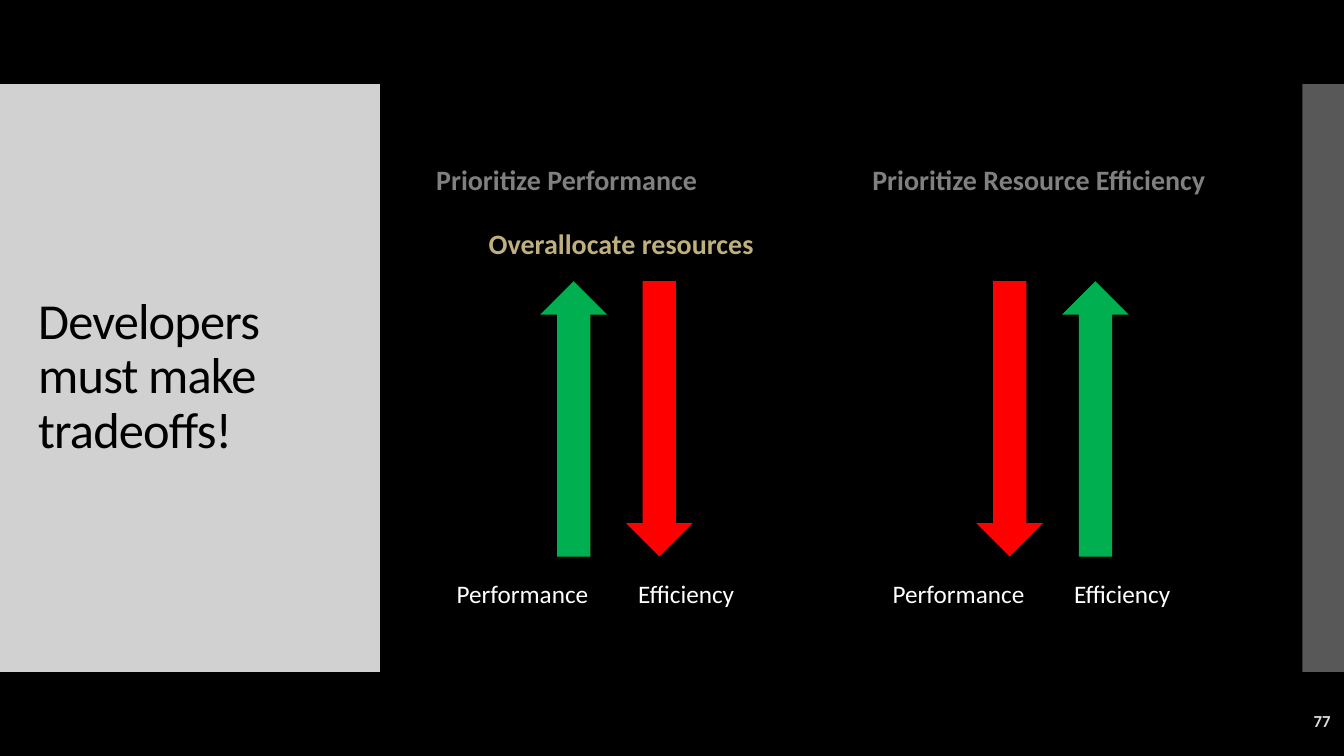
from dataclasses import dataclass

from lxml.etree import SubElement
from pptx import Presentation
from pptx.dml.color import RGBColor
from pptx.enum.shapes import MSO_SHAPE
from pptx.enum.text import MSO_ANCHOR, PP_ALIGN
from pptx.oxml.ns import qn
from pptx.util import Pt


@dataclass(frozen=True)
class Theme:
    font: str = "Calibri"
    background: str = "000000"
    panel: str = "DDDDDD"
    title: str = "000000"
    heading: str = "808080"
    accent: str = "BFB07D"
    label: str = "FFFFFF"
    gain: str = "00B050"
    loss: str = "FF0000"
    title_size: int = 36
    heading_size: int = 20
    label_size: int = 18
    number_size: int = 12


class SlideBuilder:
    def __init__(self, slide, theme):
        self.slide = slide
        self.theme = theme
        slide.background.fill.solid()
        slide.background.fill.fore_color.rgb = RGBColor.from_string(theme.background)

    def shape(self, kind, left, top, width, height, color):
        shape = self.slide.shapes.add_shape(
            kind, Pt(left), Pt(top), Pt(width), Pt(height)
        )
        shape.shadow.inherit = False
        shape.fill.solid()
        shape.fill.fore_color.rgb = RGBColor.from_string(color)
        shape.line.fill.background()
        return shape

    def panel(self, left, width, opacity):
        shape = self.shape(MSO_SHAPE.RECTANGLE, left, 60, width, 420, self.theme.panel)
        color = shape.fill._xPr.find(".//" + qn("a:srgbClr"))
        SubElement(color, qn("a:alpha")).set("val", str(opacity * 1000))

    def arrow(self, left, rising):
        color = self.theme.gain if rising else self.theme.loss
        shape = self.shape(MSO_SHAPE.DOWN_ARROW, left, 200.9, 47.5, 196.6, color)
        shape.rotation = 180 if rising else 0

    def text(self, text, left, top, width, height, size, color, bold=False,
             anchor=MSO_ANCHOR.TOP, align=PP_ALIGN.LEFT, line_spacing=1.0, tracking=0):
        box = self.slide.shapes.add_textbox(Pt(left), Pt(top), Pt(width), Pt(height))
        frame = box.text_frame
        frame.word_wrap = True
        frame.vertical_anchor = anchor
        frame.text = text
        paragraph = frame.paragraphs[0]
        paragraph.alignment = align
        paragraph.line_spacing = line_spacing
        run = paragraph.runs[0]
        run.font.name = self.theme.font
        run.font.size = Pt(size)
        run.font.bold = bold
        run.font.color.rgb = RGBColor.from_string(color)
        if tracking:
            run.font._element.set("spc", str(round(tracking * 100)))

    def heading(self, text, left, top, color):
        self.text(text, left, top, 273.6, 63.4, self.theme.heading_size, color,
                  bold=True, anchor=MSO_ANCHOR.BOTTOM, line_spacing=0.9)

    def label(self, text, left):
        self.text(text, left, 409.7, 122.4, 29, self.theme.label_size, self.theme.label)

    def tradeoff(self, heading, left, performance_rises):
        self.heading(heading, left, 80.6, self.theme.heading)
        arrow_left = left + 81.5
        for index, name in enumerate(("Performance", "Efficiency")):
            rising = performance_rises == (index == 0)
            self.arrow(arrow_left + index * 61.2, rising)
            self.label(name, left + 14.6 + index * 129.6)


def main():
    presentation = Presentation()
    presentation.slide_width = Pt(960)
    presentation.slide_height = Pt(540)
    theme = Theme()
    slide = presentation.slides.add_slide(presentation.slide_layouts[6])
    builder = SlideBuilder(slide, theme)

    builder.panel(0, 271.3, 95)
    builder.panel(930.3, 29.7, 40)
    builder.text("Developers must make tradeoffs!", 20.2, 88.6, 231.8, 362.2,
                 theme.title_size, theme.title, anchor=MSO_ANCHOR.MIDDLE,
                 line_spacing=0.9, tracking=-0.6)

    columns = (("Prioritize Performance", True), ("Prioritize Resource Efficiency", False))
    for index, (heading, performance_rises) in enumerate(columns):
        builder.tradeoff(heading, 304.5 + index * 311.5, performance_rises)
    builder.heading("Overallocate resources", 342, 126, theme.accent)

    builder.text("77", 837.4, 500.4, 120.2, 28.8, theme.number_size, theme.panel,
                 bold=True, anchor=MSO_ANCHOR.MIDDLE, align=PP_ALIGN.RIGHT)
    presentation.save("out.pptx")


if __name__ == "__main__":
    main()
